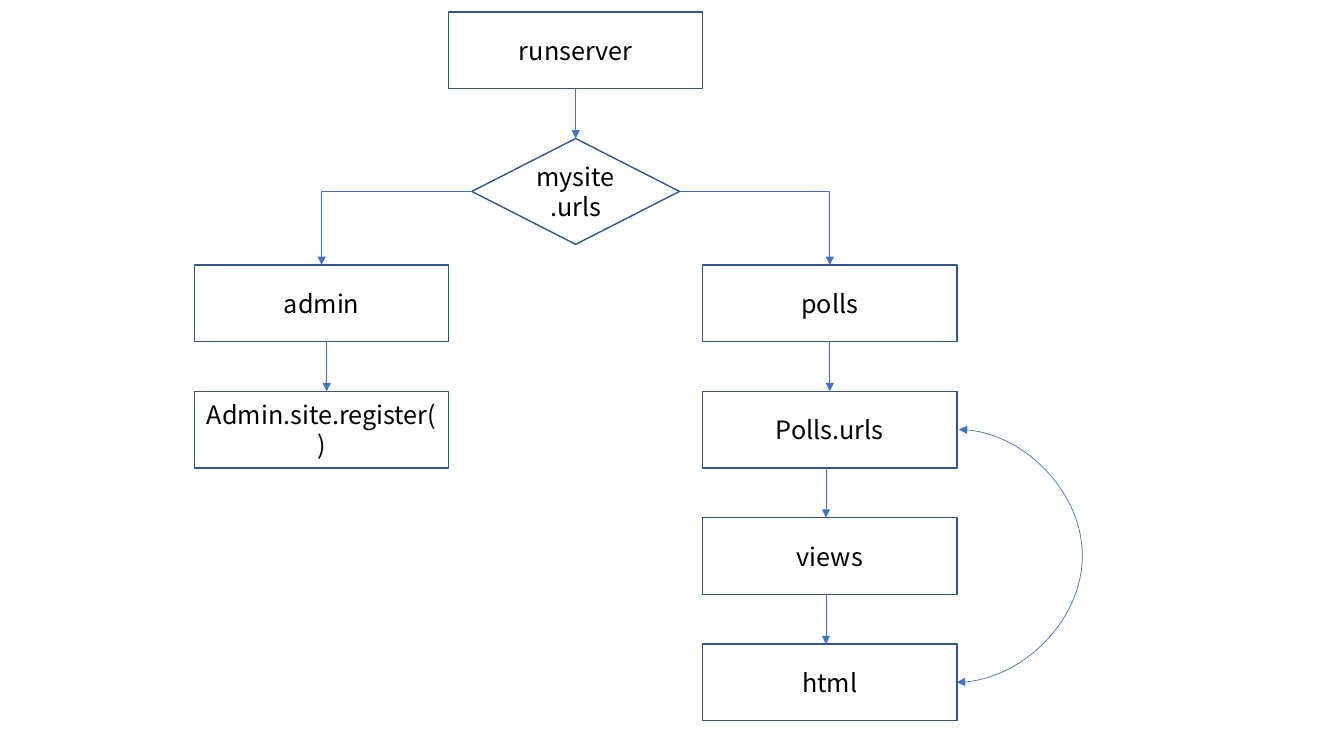
import dataclasses

import pptx
import pptx.dml.color
import pptx.enum.shapes
import pptx.enum.text
import pptx.oxml
import pptx.oxml.ns
import pptx.util

SHAPES = pptx.enum.shapes.MSO_SHAPE
LINES = pptx.enum.shapes.MSO_CONNECTOR
RGB = pptx.dml.color.RGBColor
TOP, RIGHT = 0, 3  # connection sites; LEFT is 1
LEFT = 1


@dataclasses.dataclass(frozen=True)
class Theme:
    """Colours, font and line weights of the flow chart."""
    border: RGB = RGB(0x32, 0x54, 0x91)
    arrow: RGB = RGB(0x44, 0x72, 0xC4)
    text: RGB = RGB(0, 0, 0)
    paper: RGB = RGB(0xFF, 0xFF, 0xFF)
    font: str = "Noto Sans CJK KR"
    size: float = 18
    border_width: float = 1
    arrow_width: float = 0.5


@dataclasses.dataclass(frozen=True)
class Grid:
    """Columns of box width and evenly spaced rows, in inches."""
    left: float = 1.93
    top: float = 0.12
    width: float = 2.52
    height: float = 0.76
    pitch: float = 1.254

    def x(self, column: float) -> float:
        """Left edge of a column."""
        return self.left + column * self.width

    def y(self, row: float) -> float:
        """Top edge of a row."""
        return self.top + row * self.pitch

    def middle(self, row: float) -> float:
        """Vertical centre of the box in a row."""
        return self.y(row) + self.height / 2


@dataclasses.dataclass(frozen=True)
class Step:
    """A process box in a grid cell."""
    label: str
    column: int
    row: int


@dataclasses.dataclass(frozen=True)
class Drop:
    """A straight arrow from one row to the next, at a column position."""
    column: float
    row: int


THEME = Theme()
GRID = Grid()
STEPS = [
    Step("runserver", 1, 0),
    Step("polls", 2, 2),
    Step("admin", 0, 2),
    Step("Polls.urls", 2, 3),
    Step("Admin.site.register()", 0, 3),
    Step("views", 2, 4),
    Step("html", 2, 5),
]
DROPS = [Drop(2.5, 2), Drop(2.485, 3), Drop(2.485, 4), Drop(1.5, 0), Drop(0.52, 2)]
DECISION_SIZE = (2.06, 1.05)
LOOP_REACH = 1.24
LOOP_SHIFT = 0.02


def inches(*lengths: float) -> list[pptx.util.Length]:
    """Convert lengths in inches."""
    return [pptx.util.Inches(length) for length in lengths]


def add_node(page, kind, label: str, left: float, top: float, width: float, height: float):
    """Draw an outlined shape with a centred label."""
    node = page.shapes.add_shape(kind, *inches(left, top, width, height))
    node.shadow.inherit = False
    node.fill.background()
    node.line.color.rgb = THEME.border
    node.line.width = pptx.util.Pt(THEME.border_width)
    frame = node.text_frame
    frame.word_wrap = True
    frame.vertical_anchor = pptx.enum.text.MSO_ANCHOR.MIDDLE
    para = frame.paragraphs[0]
    para.alignment = pptx.enum.text.PP_ALIGN.CENTER
    span = para.add_run()
    span.text = label
    span.font.name = THEME.font
    span.font.size = pptx.util.Pt(THEME.size)
    span.font.color.rgb = THEME.text
    return node


def add_arrow(page, kind, start: tuple, end: tuple, both_ends: bool = False):
    """Draw a connector with a triangle at its end, or at both ends."""
    arrow = page.shapes.add_connector(kind, *inches(*start, *end))
    arrow.line.color.rgb = THEME.arrow
    arrow.line.width = pptx.util.Pt(THEME.arrow_width)
    outline = arrow.line._get_or_add_ln()
    for tag in ["a:headEnd", "a:tailEnd"] if both_ends else ["a:tailEnd"]:
        outline.append(pptx.oxml.parse_xml(
            f'<{tag} {pptx.oxml.ns.nsdecls("a")} type="triangle"/>'))
    arrow._element.spPr.append(pptx.oxml.parse_xml(
        f'<a:effectLst {pptx.oxml.ns.nsdecls("a")}/>'))
    return arrow


def geometry(arrow):
    """Return the preset geometry element of a connector."""
    return arrow._element.spPr.find(pptx.oxml.ns.qn("a:prstGeom"))


def add_branch(page, decision, site: int, target) -> None:
    """Draw a one-bend arrow from a side of the decision to the top of a box."""
    arrow = add_arrow(page, LINES.ELBOW, (0, 0), (1, 1))
    arrow.begin_connect(decision, site)
    arrow.end_connect(target, TOP)
    geometry(arrow).set("prst", "bentConnector2")


def add_loop(page, from_row: int, to_row: int) -> None:
    """Draw the two-headed curve at the right of the last column."""
    edge = GRID.x(3)
    arrow = add_arrow(page, LINES.CURVE, (edge, GRID.middle(from_row)),
                      (edge + LOOP_SHIFT, GRID.middle(to_row)), both_ends=True)
    bulge = round(LOOP_REACH / LOOP_SHIFT * 100000)
    shape = geometry(arrow)
    for guides in list(shape):
        shape.remove(guides)
    shape.append(pptx.oxml.parse_xml(
        f'<a:avLst {pptx.oxml.ns.nsdecls("a")}>'
        f'<a:gd name="adj1" fmla="val {bulge}"/></a:avLst>'))


def build() -> None:
    """Build the flow chart and save it."""
    deck = pptx.Presentation()
    deck.slide_width, deck.slide_height = inches(13.33, 7.5)
    page = deck.slides.add_slide(deck.slide_layouts[6])

    boxes = {step.label: add_node(page, SHAPES.RECTANGLE, step.label, GRID.x(step.column),
                                  GRID.y(step.row), GRID.width, GRID.height)
             for step in STEPS}
    add_loop(page, 5, 3)
    for drop in DROPS:
        x = GRID.x(drop.column)
        bottom = GRID.y(drop.row) + GRID.height
        add_arrow(page, LINES.STRAIGHT, (x, bottom), (x, GRID.y(drop.row + 1)))

    width, height = DECISION_SIZE
    decision = add_node(page, SHAPES.FLOWCHART_DECISION, "mysite.urls",
                        GRID.x(1.5) - width / 2, GRID.y(1), width, height)
    decision.fill.solid()
    decision.fill.fore_color.rgb = THEME.paper
    add_branch(page, decision, RIGHT, boxes["polls"])
    add_branch(page, decision, LEFT, boxes["admin"])
    deck.save("out.pptx")


build()
